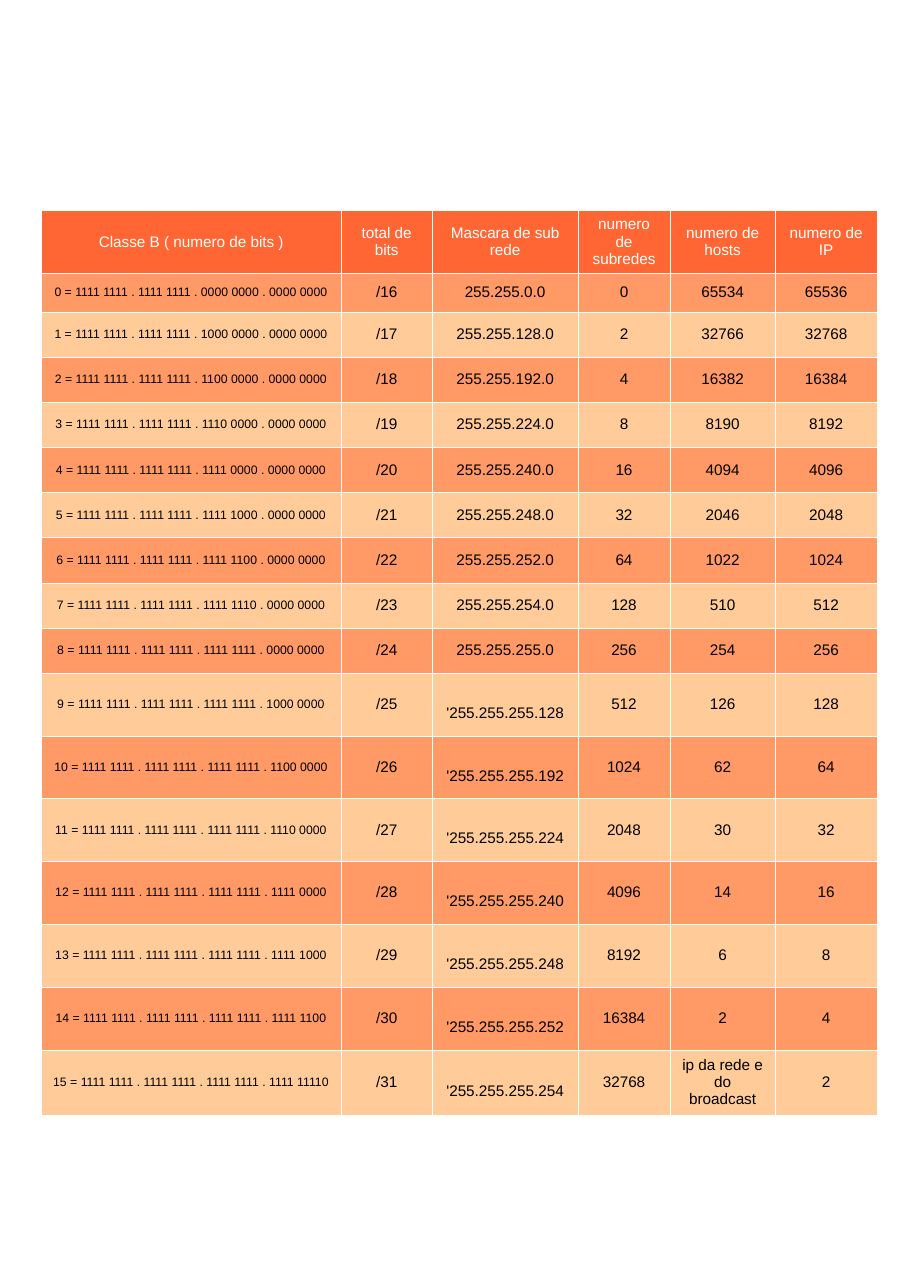
from lxml.etree import SubElement as Sub
from pptx import Presentation
from pptx.dml.color import RGBColor as Rgb
from pptx.enum.text import MSO_ANCHOR as Anchor, PP_ALIGN as Align
from pptx.oxml.ns import qn
from pptx.util import Inches, Pt

COLORS = {"head": "FF6633", "even": "FF9966", "odd": "FFCC99",
          "white": "FFFFFF", "black": "000000"}
HEADS = ["Classe B ( numero de bits )", "total de bits", "Mascara de sub rede",
         "numero de subredes", "numero de hosts", "numero de IP"]
COLS = [2.73, 0.82, 1.33, 0.83, 0.96, 0.92]
ROWS = [0.57, 0.35] + [0.41] * 8 + [0.57] * 6 + [0.59]
LINE = 0.16


def subnet(n):
    """Return the six texts for n subnet bits of a class B address."""
    total = 16 + n
    bits = "1" * total + "0" * (32 - total)
    bytes_ = [bits[i:i + 8] for i in range(0, 32, 8)]
    mask = ".".join(str(int(b, 2)) for b in bytes_)
    binary = " . ".join(f"{b[:4]} {b[4:]}" for b in bytes_)
    count = 2 ** (32 - total)
    hosts = str(count - 2)
    if n > 8:
        mask = "'" + mask
    if n == 15:
        binary = binary[:-4] + "11110"
        hosts = "ip da rede e do broadcast"
    return [f"{n} = {binary}", f"/{total}", mask,
            str(2 ** n if n else 0), hosts, str(count)]


class Page:
    def __init__(self, slide, font="Arial"):
        self.slide = slide
        self.font = font

    def border(self, cell, color="white", width=0.06):
        props = cell._tc.get_or_add_tcPr()
        for side in ("lnL", "lnR", "lnT", "lnB"):
            line = Sub(props, qn(f"a:{side}"), w=str(int(Pt(width))))
            fill = Sub(line, qn("a:solidFill"))
            Sub(fill, qn("a:srgbClr"), val=COLORS[color])

    def cell(self, cell, text, fill, color, size, top=0.05):
        self.border(cell)
        cell.fill.solid()
        cell.fill.fore_color.rgb = Rgb.from_string(COLORS[fill])
        cell.vertical_anchor = Anchor.MIDDLE
        cell.margin_left = cell.margin_right = Inches(0.1)
        cell.margin_top, cell.margin_bottom = Inches(top), Inches(0.05)
        para = cell.text_frame.paragraphs[0]
        para.alignment = Align.CENTER
        run = para.add_run()
        run.text = text
        run.font.name = self.font
        run.font.size = Pt(size)
        run.font.color.rgb = Rgb.from_string(COLORS[color])

    def table(self, left, top, cols, rows):
        frame = self.slide.shapes.add_table(
            len(rows), len(cols), Inches(left), Inches(top),
            Inches(sum(cols)), Inches(sum(rows)))
        table = frame.table
        table.first_row = table.horz_banding = False
        for col, width in zip(table.columns, cols):
            col.width = Inches(width)
        for row, height in zip(table.rows, rows):
            row.height = Inches(height)
        return table


def main():
    deck = Presentation()
    deck.slide_width, deck.slide_height = Inches(8.27), Inches(11.69)
    page = Page(deck.slides.add_slide(deck.slide_layouts[6]))
    table = page.table(0.37, 1.91, COLS, ROWS)
    for c, head in enumerate(HEADS):
        page.cell(table.cell(0, c), head, "head", "white", 10)
    for n in range(16):
        fill = "odd" if n % 2 else "even"
        for c, text in enumerate(subnet(n)):
            # Quoted masks sit one text line lower
            top = 0.05 + LINE if text.startswith("'") else 0.05
            page.cell(table.cell(n + 1, c), text, fill, "black",
                      10 if c else 8, top)
    deck.save("out.pptx")


if __name__ == "__main__":
    main()
